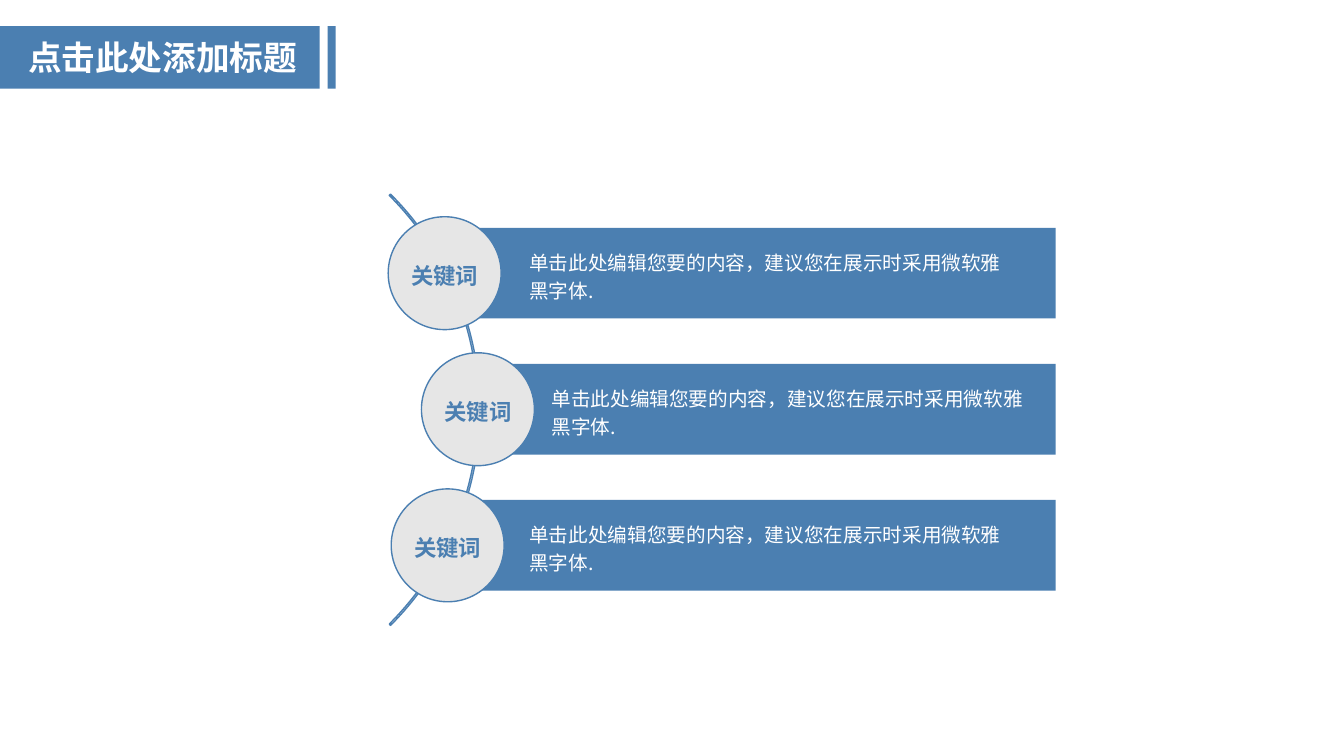
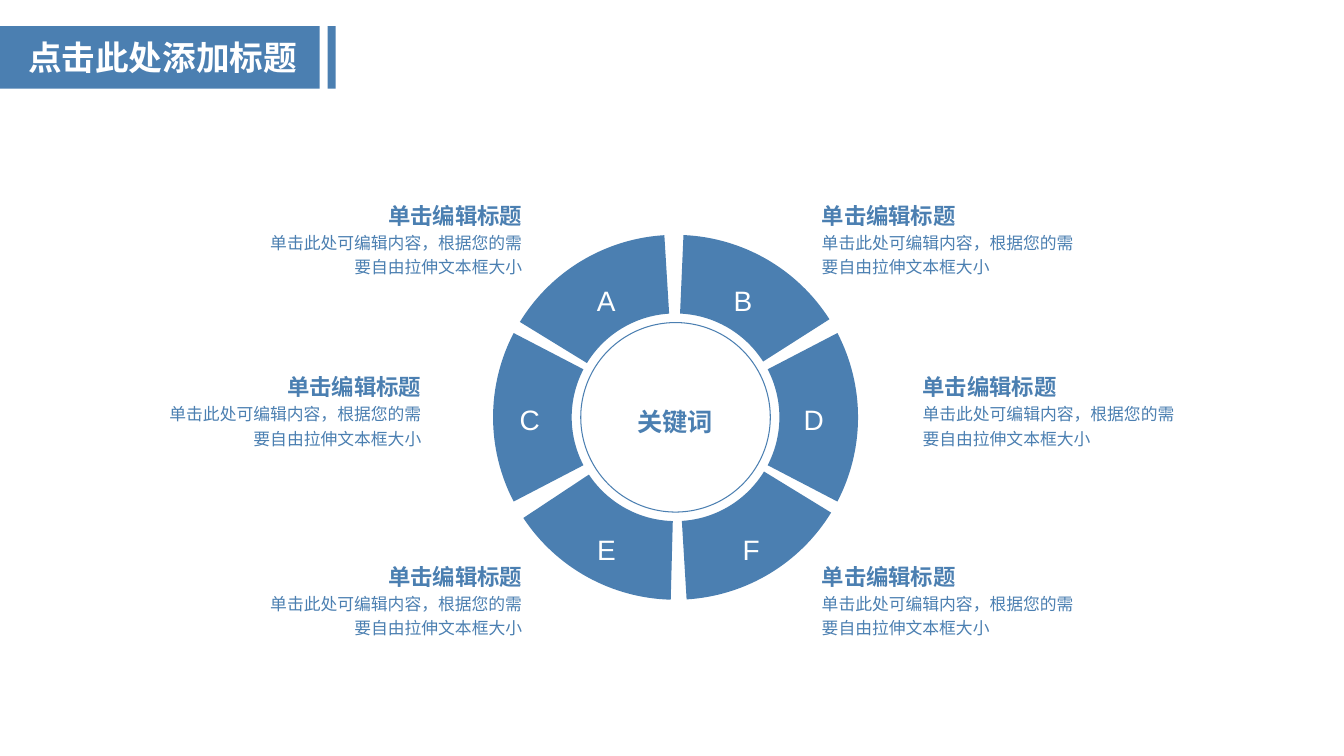
from math import cos, radians, sin, tan

from lxml.etree import SubElement
from pptx import Presentation
from pptx.dml.color import RGBColor
from pptx.enum.shapes import MSO_SHAPE
from pptx.enum.text import MSO_ANCHOR, PP_ALIGN
from pptx.oxml.ns import qn
from pptx.util import Inches, Pt

BLUE = RGBColor(0x4B, 0x7F, 0xB1)
GREY = RGBColor(0xE6, 0xE6, 0xE6)
WHITE = RGBColor(0xFF, 0xFF, 0xFF)
LATIN, CJK = "Arial", "Noto Sans CJK SC"
TITLE = "点击此处添加标题"
KEYWORD = "关键词"
ROW_TEXT = "单击此处编辑您要的内容，建议您在展示时采用微软雅黑字体."
NOTE_HEAD = "单击编辑标题"
NOTE_TEXT = "单击此处可编辑内容，根据您的需要自由拉伸文本框大小"
ROWS = [(3.85, 5.25), (4.18, 5.47), (3.88, 5.25)]
SECTORS = [("A", 239, 5.84, 2.71, 0.34), ("B", 300, 7.19, 2.71, 0.36),
           ("C", 180, 5, 3.89, 0.51), ("D", 0, 7.88, 3.89, 0.38),
           ("E", 119, 5.76, 5.18, 0.51), ("F", 59, 7.26, 5.18, 0.38)]
NOTES = [(1.95, 5.18, 8.15), (3.65, 4.18, 9.15), (5.53, 5.18, 8.15)]


def write(sp, text, size, color, bold=False, align=PP_ALIGN.LEFT,
          anchor=MSO_ANCHOR.TOP, font=LATIN, spacing=1.2, inset=0):
    """Write one styled run into a shape."""
    tf = sp.text_frame
    tf.word_wrap = True
    tf.vertical_anchor = anchor
    tf.margin_left = tf.margin_right = Inches(inset)
    tf.margin_top = tf.margin_bottom = Inches(inset)
    p = tf.paragraphs[0]
    p.alignment = align
    p.line_spacing = spacing
    r = p.add_run()
    r.text = text
    r.font.name = font
    r.font.size = Pt(size)
    r.font.bold = bold
    r.font.color.rgb = color
    SubElement(r.font._element, qn("a:ea"), typeface=CJK)


def add_text(s, x, y, w, h, text, size, color, **style):
    """Add a text box."""
    box = s.shapes.add_textbox(Inches(x), Inches(y), Inches(w), Inches(h))
    write(box, text, size, color, **style)


def paint(sp, fill=None, line=None, width=1):
    """Set the fill and outline of a shape and drop its shadow."""
    sp.shadow.inherit = False
    if fill is None:
        sp.fill.background()
    else:
        sp.fill.solid()
        sp.fill.fore_color.rgb = fill
    if line is None:
        sp.line.fill.background()
    else:
        sp.line.color.rgb = line
        sp.line.width = Pt(width)


def add_shape(s, kind, x, y, w, h, **look):
    """Add a painted preset shape."""
    sp = s.shapes.add_shape(kind, Inches(x), Inches(y), Inches(w), Inches(h))
    paint(sp, **look)
    return sp


def add_title(s, y=0.26, w=3.17, h=0.62):
    """Place the title band with its accent bar."""
    add_shape(s, MSO_SHAPE.RECTANGLE, w + 0.08, y, 0.08, h, fill=BLUE)
    add_shape(s, MSO_SHAPE.RECTANGLE, 0, y, w, h, fill=BLUE)
    add_text(s, 0.18, y + 0.06, 3.15, 0.5, TITLE, 24, WHITE, bold=True,
             anchor=MSO_ANCHOR.MIDDLE, spacing=1, inset=0.1)


def add_row(s, y, circle_x, text_x, right=10.47, size=1.12):
    """Place one bar with its keyword circle and text."""
    bar_x = circle_x + size / 2
    add_shape(s, MSO_SHAPE.RECTANGLE, bar_x, y + 0.11, right - bar_x, 0.9,
              fill=BLUE)
    add_shape(s, MSO_SHAPE.OVAL, circle_x, y, size, size, fill=GREY, line=BLUE)
    add_text(s, text_x, y + 0.29, 4.83, 0.54, ROW_TEXT, 14, WHITE, font=CJK)
    add_text(s, circle_x + 0.06, y + 0.4, 1, 0.3, KEYWORD, 16, BLUE,
             bold=True, align=PP_ALIGN.CENTER)


def bend(line, sp, controls):
    """Turn a straight path segment into a cubic curve."""
    line.tag = qn("a:cubicBezTo")
    for i, (x, y) in enumerate(controls):
        pt = SubElement(line, qn("a:pt"), x=str(int(x - sp.left)),
                        y=str(int(y - sp.top)))
        line.insert(i, pt)


def add_sector(s, cx, cy, inner, outer, middle, span=55):
    """Draw a ring sector centred on an angle in degrees."""
    start, end = radians(middle - span / 2), radians(middle + span / 2)
    pull = 4 / 3 * tan(radians(span) / 4)

    def at(radius, angle, shift=0):
        """Give a point on a circle, moved along its tangent."""
        return (Inches(cx + radius * (cos(angle) - shift * sin(angle))),
                Inches(cy + radius * (sin(angle) + shift * cos(angle))))

    builder = s.shapes.build_freeform(*at(outer, start), scale=1.0)
    builder.add_line_segments([at(outer, radians(middle)), at(outer, end),
                               at(inner, end), at(inner, start)], close=True)
    sp = builder.convert_to_shape()
    crest, outer_arc, _, inner_arc = sp._element.findall(".//" + qn("a:lnTo"))
    crest.getparent().remove(crest)
    bend(outer_arc, sp, [at(outer, start, pull), at(outer, end, -pull)])
    bend(inner_arc, sp, [at(inner, end, -pull), at(inner, start, pull)])
    paint(sp, fill=BLUE)


def add_ring(s, cx, cy, inner=1.03, outer=1.81, core=0.94):
    """Place the lettered ring and its keyword circle."""
    for _, angle, *_ in SECTORS:
        add_sector(s, cx, cy, inner, outer, angle)
    add_shape(s, MSO_SHAPE.OVAL, cx - core, cy - core, 2 * core, 2 * core,
              line=BLUE, width=0.75)
    for letter, _, x, y, w in SECTORS:
        label = add_shape(s, MSO_SHAPE.RECTANGLE, x, y, w, 0.37)
        write(label, letter, 20, WHITE, align=PP_ALIGN.CENTER,
              anchor=MSO_ANCHOR.MIDDLE, spacing=1.5, inset=0.08)
    add_text(s, cx - 0.57, cy - 0.17, 1.13, 0.33, KEYWORD, 18, BLUE,
             bold=True, align=PP_ALIGN.CENTER)


def add_note(s, edge, y, align):
    """Place a heading with its two-line note against a vertical edge."""
    for text, size, top, w, h in ((NOTE_HEAD, 16, y, 1.53, 0.3),
                                  (NOTE_TEXT, 12, y + 0.32, 2.55, 0.46)):
        x = edge - w if align == PP_ALIGN.RIGHT else edge
        add_text(s, x, top, w, h, text, size, BLUE, bold=size == 16,
                 align=align)


def arc_slide(prs):
    """Build the slide with three bars along an arc."""
    s = prs.slides.add_slide(prs.slide_layouts[6])
    add_title(s)
    arc = add_shape(s, MSO_SHAPE.BLOCK_ARC, -1.29, 1.04, 6.05, 6.05, line=BLUE)
    for i, value in enumerate((189, 27, 0.003)):
        arc.adjustments[i] = value
    for i, (circle_x, text_x) in enumerate(ROWS):
        add_row(s, 2.15 + 1.35 * i, circle_x, text_x)


def ring_slide(prs):
    """Build the slide with six notes around a ring."""
    s = prs.slides.add_slide(prs.slide_layouts[6])
    add_title(s)
    add_ring(s, 6.7, 4.14)
    for y, left_edge, right_edge in NOTES:
        add_note(s, left_edge, y, PP_ALIGN.RIGHT)
        add_note(s, right_edge, y, PP_ALIGN.LEFT)


def main():
    """Build and save the presentation."""
    prs = Presentation()
    prs.slide_width, prs.slide_height = Inches(13.33), Inches(7.5)
    arc_slide(prs)
    ring_slide(prs)
    prs.save("out.pptx")


if __name__ == "__main__":
    main()
